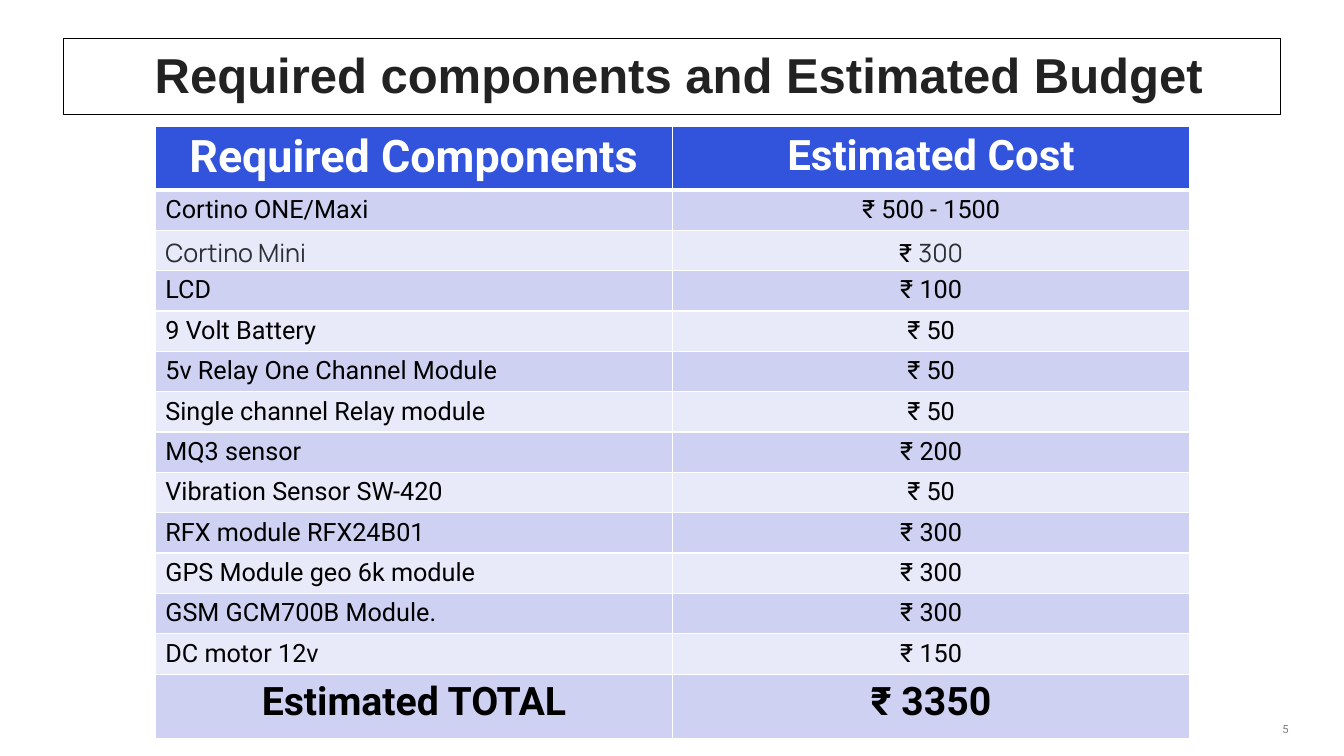
from lxml import etree
from pptx import Presentation
from pptx.dml.color import RGBColor
from pptx.enum.shapes import MSO_SHAPE
from pptx.enum.text import MSO_ANCHOR, PP_ALIGN
from pptx.oxml.ns import qn
from pptx.util import Inches, Pt

LEFT, CENTER, RIGHT = PP_ALIGN.LEFT, PP_ALIGN.CENTER, PP_ALIGN.RIGHT
MIDDLE = MSO_ANCHOR.MIDDLE
RECTANGLE = MSO_SHAPE.RECTANGLE

TITLE = "Required components and Estimated Budget"
PAGE_NUMBER = "5"
HEADINGS = [("Required Components", 32), ("Estimated Cost", 30)]
COMPONENTS = [
    ("Cortino ONE/Maxi", "500 - 1500"),
    ("Cortino Mini", "300"),
    ("LCD", "100"),
    ("9 Volt Battery", "50"),
    ("5v Relay One Channel Module", "50"),
    ("Single channel Relay module", "50"),
    ("MQ3 sensor", "200"),
    ("Vibration Sensor SW-420", "50"),
    ("RFX module RFX24B01", "300"),
    ("GPS Module geo 6k module", "300"),
    ("GSM GCM700B Module.", "300"),
    ("DC motor 12v", "150"),
]
TOTAL = ("Estimated TOTAL", "₹ 3350")
MANROPE_ROW = 2

BLACK, WHITE, BLUE = "000000", "FFFFFF", "3253DC"
BANDS = ("E8E9F9", "CED1F2")
HEADER_HEIGHT, ROW_HEIGHT, TOTAL_HEIGHT = 0.62, 0.4, 0.64


def color(value):
    return RGBColor.from_string(value)


def add_span(para, text, size, shade, font="Roboto", bold=False):
    span = para.add_run()
    span.text = text
    span.font.size = Pt(size)
    span.font.name = font
    span.font.bold = bold
    span.font.color.rgb = color(shade)


def set_borders(cell, widths):
    properties = cell._tc.get_or_add_tcPr()
    for position, (side, width) in enumerate(zip(("lnL", "lnR", "lnT", "lnB"), widths)):
        line = etree.Element(qn("a:" + side), w=str(Pt(width)))
        fill = etree.SubElement(line, qn("a:solidFill"))
        etree.SubElement(fill, qn("a:srgbClr"), val=WHITE)
        properties.insert(position, line)


def set_margins(frame, left, top, right, bottom):
    frame.margin_left, frame.margin_top = Inches(left), Inches(top)
    frame.margin_right, frame.margin_bottom = Inches(right), Inches(bottom)
    frame.word_wrap = True
    frame.vertical_anchor = MIDDLE


def add_title(page):
    box = page.shapes.add_shape(RECTANGLE, Inches(0.63), Inches(0.38), Inches(12.07), Inches(0.76))
    box.shadow.inherit = False
    box.fill.background()
    box.line.color.rgb = color(BLACK)
    box.line.width = Pt(0.75)
    set_margins(box.text_frame, 0.15, 0.1, 0, 0.1)
    para = box.text_frame.paragraphs[0]
    para.alignment = CENTER
    para.line_spacing = 0.95
    para.space_before = Pt(12)
    add_span(para, TITLE, 35, "222222", "Arial", True)


def add_page_number(page):
    box = page.shapes.add_textbox(Inches(12), Inches(7.14), Inches(0.78), Inches(0.15))
    set_margins(box.text_frame, 0, 0, 0, 0)
    para = box.text_frame.paragraphs[0]
    para.alignment = RIGHT
    para.line_spacing = 1.25
    add_span(para, PAGE_NUMBER, 8, "808080")


def add_budget(page):
    heights = [HEADER_HEIGHT] + [ROW_HEIGHT] * len(COMPONENTS) + [TOTAL_HEIGHT]
    frame = page.shapes.add_table(len(heights), 2, Inches(1.54), Inches(1.25),
                                  Inches(10.26), Inches(sum(heights)))
    table = frame.table
    for index, height in enumerate(heights):
        table.rows[index].height = Inches(height)
        for cell in table.rows[index].cells:
            cell.fill.solid()
            cell.fill.fore_color.rgb = color(BANDS[index % 2] if index else BLUE)
            set_borders(cell, (1, 1, 3 if index == 1 else 1, 3 if index == 0 else 1))
            cell.text_frame.paragraphs[0].alignment = CENTER

    for column, (heading, size) in enumerate(HEADINGS):
        add_span(table.cell(0, column).text_frame.paragraphs[0], heading, size, WHITE, bold=True)
    for index, (name, cost) in enumerate(COMPONENTS, 1):
        font, shade = ("Manrope", "2C2F34") if index == MANROPE_ROW else ("Roboto", BLACK)
        name_cell, cost_cell = table.rows[index].cells
        if index == MANROPE_ROW:
            name_cell.margin_bottom = cost_cell.margin_bottom = 0
        para = name_cell.text_frame.paragraphs[0]
        para.alignment = LEFT
        add_span(para, name, 18, shade, font)
        para = cost_cell.text_frame.paragraphs[0]
        add_span(para, "₹ ", 18, BLACK)
        add_span(para, cost, 18, shade, font)
    for cell, text in zip(table.rows[len(heights) - 1].cells, TOTAL):
        add_span(cell.text_frame.paragraphs[0], text, 28, BLACK, bold=True)


def main():
    deck = Presentation()
    deck.slide_width, deck.slide_height = Inches(13.33), Inches(7.5)
    page = deck.slides.add_slide(deck.slide_layouts[6])
    add_page_number(page)
    add_title(page)
    add_budget(page)
    deck.save("out.pptx")


if __name__ == "__main__":
    main()
